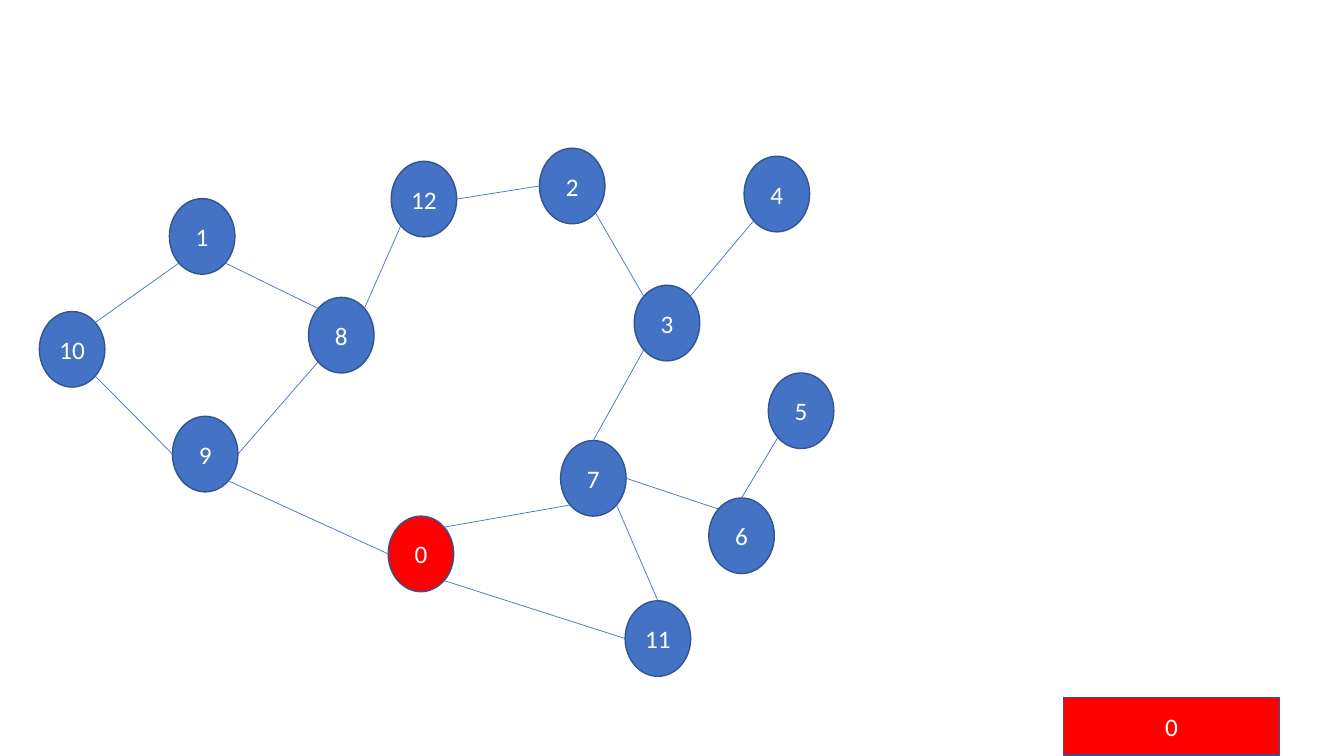
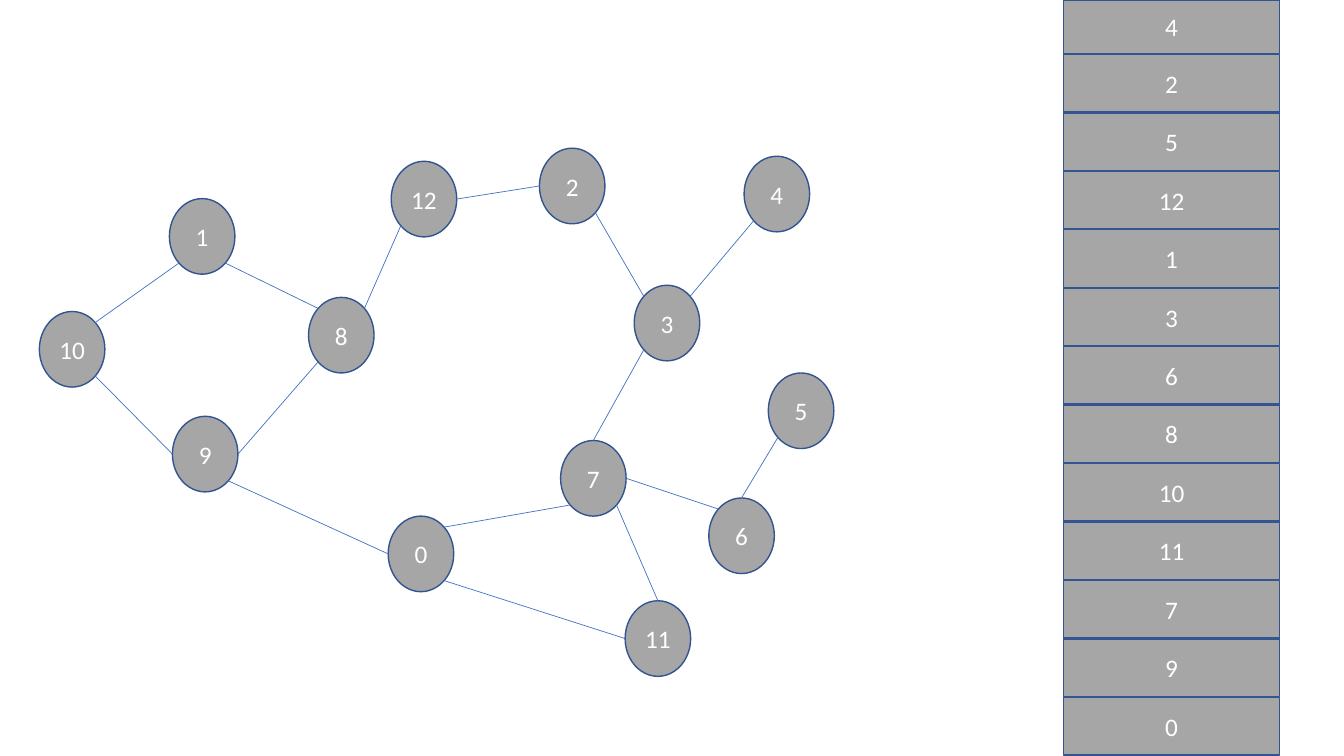
from dataclasses import dataclass
from enum import IntEnum
from math import cos, pi, sin

from lxml.etree import SubElement
from pptx import Presentation
from pptx.dml.color import RGBColor
from pptx.enum.shapes import MSO_CONNECTOR, MSO_SHAPE
from pptx.enum.text import MSO_ANCHOR, PP_ALIGN
from pptx.oxml.ns import qn
from pptx.shapes.autoshape import Shape
from pptx.slide import Slide
from pptx.util import Inches, Pt

COLORS = {
    "unvisited": "4472C4",
    "current": "FF0000",
    "done": "A6A6A6",
    "outline": "325491",
    "edge": "4472C4",
    "label": "FFFFFF",
}
FONT = "Calibri"
NODE_W, NODE_H = 0.65, 0.75
STACK_LEFT, STACK_BOTTOM_TOP, STACK_PITCH = 10.55, 6.92, 0.58
BLOCK_W, BLOCK_H = 2.14, 0.57


class Site(IntEnum):
    """Connection sites of an ellipse, counter-clockwise from the top."""
    TOP = 0
    TOP_LEFT = 1
    LEFT = 2
    BOTTOM_LEFT = 3
    BOTTOM = 4
    BOTTOM_RIGHT = 5
    RIGHT = 6
    TOP_RIGHT = 7


@dataclass(frozen=True)
class Node:
    label: int
    left: float
    top: float

    def site(self, site: Site) -> tuple[float, float]:
        angle = site * pi / 4
        return (self.left + NODE_W / 2 * (1 - sin(angle)),
                self.top + NODE_H / 2 * (1 - cos(angle)))


@dataclass(frozen=True)
class Edge:
    start: int
    start_site: Site
    end: int
    end_site: Site


@dataclass(frozen=True)
class Step:
    """State of the traversal: node colours and the visited stack."""
    default: str
    highlighted: dict[int, str]
    stack: tuple[int, ...]

    def color(self, label: int) -> str:
        return self.highlighted.get(label, self.default)


NODES = (
    Node(0, 3.85, 5.12), Node(1, 1.68, 1.97), Node(2, 5.35, 1.47),
    Node(3, 6.29, 2.83), Node(4, 7.38, 1.55), Node(5, 7.62, 3.7),
    Node(6, 7.03, 4.94), Node(7, 5.56, 4.37), Node(8, 3.06, 2.95),
    Node(9, 1.71, 4.13), Node(10, 0.39, 3.09), Node(11, 6.2, 5.96),
    Node(12, 3.88, 1.6),
)

EDGES = (
    Edge(1, Site.BOTTOM_LEFT, 10, Site.TOP_RIGHT),
    Edge(9, Site.BOTTOM_RIGHT, 0, Site.LEFT),
    Edge(9, Site.RIGHT, 8, Site.BOTTOM_LEFT),
    Edge(10, Site.BOTTOM_RIGHT, 9, Site.LEFT),
    Edge(4, Site.BOTTOM_LEFT, 3, Site.TOP_RIGHT),
    Edge(0, Site.TOP_RIGHT, 7, Site.BOTTOM_LEFT),
    Edge(7, Site.TOP, 3, Site.BOTTOM_LEFT),
    Edge(1, Site.BOTTOM_RIGHT, 8, Site.TOP_LEFT),
    Edge(8, Site.TOP_RIGHT, 12, Site.BOTTOM_LEFT),
    Edge(12, Site.RIGHT, 2, Site.LEFT),
    Edge(2, Site.BOTTOM_RIGHT, 3, Site.TOP_LEFT),
    Edge(7, Site.RIGHT, 6, Site.TOP_LEFT),
    Edge(11, Site.TOP, 7, Site.BOTTOM_RIGHT),
    Edge(6, Site.TOP, 5, Site.BOTTOM_LEFT),
    Edge(0, Site.BOTTOM_RIGHT, 11, Site.LEFT),
)

STEPS = (
    Step("unvisited", {0: "current"}, (0,)),
    Step("done", {}, (0, 9, 7, 11, 10, 8, 6, 3, 1, 12, 5, 2, 4)),
)


def rgb(name: str) -> RGBColor:
    return RGBColor.from_string(COLORS[name])


def write_text(shape: Shape, text: str, *, size: float = 18,
               color: str = "label", align: PP_ALIGN = PP_ALIGN.CENTER) -> None:
    frame = shape.text_frame
    frame.word_wrap = False
    frame.vertical_anchor = MSO_ANCHOR.MIDDLE
    paragraph = frame.paragraphs[0]
    paragraph.alignment = align
    run = paragraph.add_run()
    run.text = text
    run.font.name = FONT
    run.font.size = Pt(size)
    run.font.color.rgb = rgb(color)


def add_labelled(shapes, kind: MSO_SHAPE, label: int, fill: str,
                 left: float, top: float, width: float, height: float) -> Shape:
    shape = shapes.add_shape(kind, Inches(left), Inches(top), Inches(width), Inches(height))
    shape.shadow.inherit = False
    shape.fill.solid()
    shape.fill.fore_color.rgb = rgb(fill)
    shape.line.color.rgb = rgb("outline")
    shape.line.width = Pt(1)
    write_text(shape, str(label))
    return shape


def add_edge(shapes, edge: Edge, ovals: dict[int, Shape]) -> None:
    start = NODES[edge.start].site(edge.start_site)
    end = NODES[edge.end].site(edge.end_site)
    line = shapes.add_connector(MSO_CONNECTOR.STRAIGHT, *map(Inches, start + end))
    line.line.color.rgb = rgb("edge")
    line.line.width = Pt(0.5)
    SubElement(line.element.spPr, qn("a:effectLst"))
    # Attach both ends to the ovals' connection sites
    glue = line.element.find(".//" + qn("p:cNvCxnSpPr"))
    for tag, label, site in (("a:stCxn", edge.start, edge.start_site),
                             ("a:endCxn", edge.end, edge.end_site)):
        SubElement(glue, qn(tag), id=str(ovals[label].shape_id), idx=str(int(site)))


def draw_graph(slide: Slide, step: Step) -> None:
    shapes = slide.shapes.add_group_shape().shapes
    ovals = {
        node.label: add_labelled(shapes, MSO_SHAPE.OVAL, node.label, step.color(node.label),
                                 node.left, node.top, NODE_W, NODE_H)
        for node in NODES
    }
    for edge in EDGES:
        add_edge(shapes, edge, ovals)


def draw_stack(slide: Slide, step: Step) -> None:
    for level, label in enumerate(step.stack):
        top = STACK_BOTTOM_TOP - level * STACK_PITCH
        visible_top = max(top, 0)  # the last block ends at the slide edge
        add_labelled(slide.shapes, MSO_SHAPE.RECTANGLE, label, step.color(label),
                     STACK_LEFT, visible_top, BLOCK_W, top + BLOCK_H - visible_top)


def main() -> None:
    deck = Presentation()
    deck.slide_width, deck.slide_height = Inches(13.33), Inches(7.5)
    for step in STEPS:
        slide = deck.slides.add_slide(deck.slide_layouts[6])
        draw_graph(slide, step)
        draw_stack(slide, step)
    deck.save("out.pptx")


if __name__ == "__main__":
    main()
